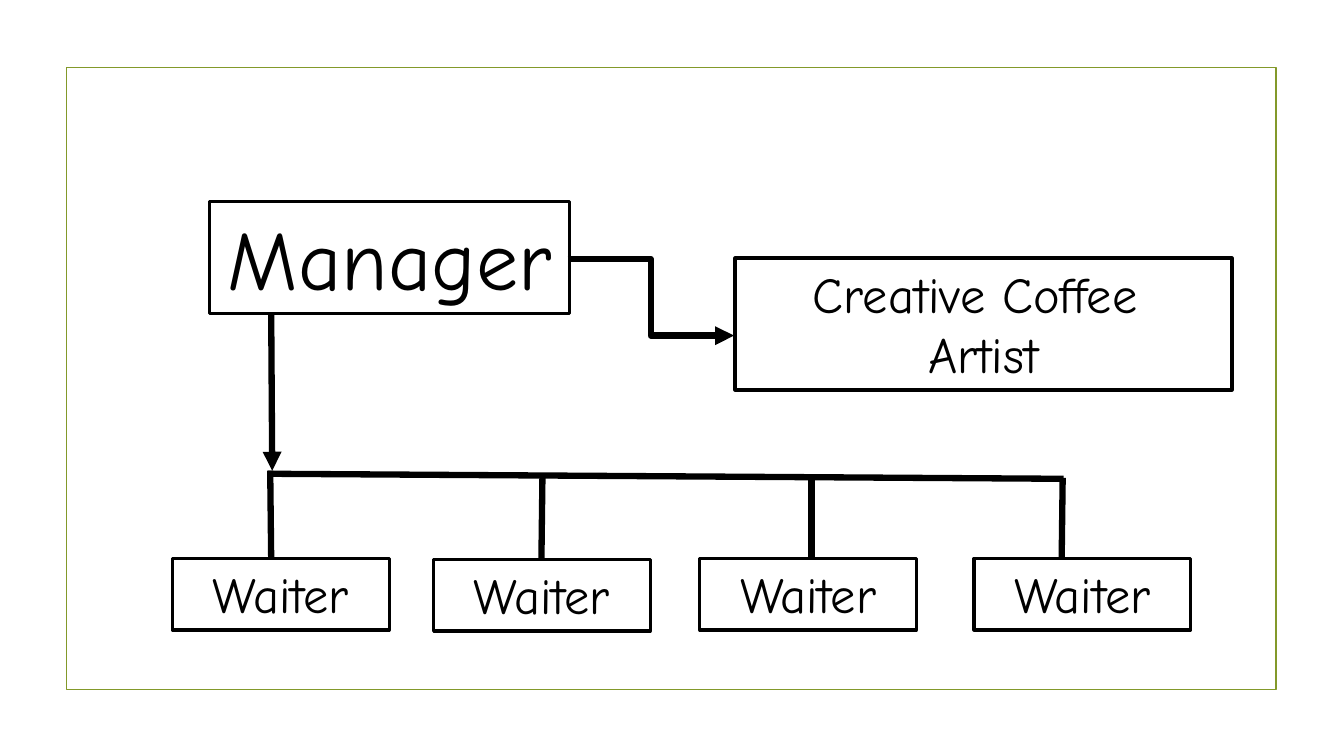
from pptx import Presentation
from pptx.dml.color import RGBColor
from pptx.enum.shapes import MSO_CONNECTOR, MSO_SHAPE
from pptx.enum.text import MSO_AUTO_SIZE, PP_ALIGN
from pptx.oxml.ns import qn
from pptx.util import Inches, Pt
from lxml.etree import SubElement

COLORS = {"ink": "000000", "frame": "83992A"}
FONT = "Comic Neue"


def add_box(x, y, wide, high, size, lines):
    """Add an outlined text box with one centred paragraph per line."""
    box = slide.shapes.add_textbox(Inches(x), Inches(y), Inches(wide), Inches(high))
    box.line.color.rgb = RGBColor.from_string(COLORS["ink"])
    box.line.width = Pt(2.25)
    text = box.text_frame
    text.word_wrap = True
    text.auto_size = MSO_AUTO_SIZE.SHAPE_TO_FIT_TEXT
    for i, line in enumerate(lines):
        para = text.add_paragraph() if i else text.paragraphs[0]
        para.alignment = PP_ALIGN.CENTER
        run = para.add_run()
        run.text = line
        run.font.name = FONT
        run.font.size = Pt(size)
        run.font.color.rgb = RGBColor.from_string(COLORS["ink"])


def add_link(x1, y1, x2, y2, kind=MSO_CONNECTOR.STRAIGHT, arrow=False):
    link = slide.shapes.add_connector(kind, Inches(x1), Inches(y1), Inches(x2), Inches(y2))
    link.line.color.rgb = RGBColor.from_string(COLORS["ink"])
    link.line.width = Pt(4.5)
    if arrow:
        SubElement(link.line._get_or_add_ln(), qn("a:tailEnd"), type="triangle")
    SubElement(link._element.spPr, qn("a:effectLst"))


deck = Presentation()
deck.slide_width = Inches(13.33)
deck.slide_height = Inches(7.5)
slide = deck.slides.add_slide(deck.slide_layouts[6])

frame = slide.shapes.add_shape(
    MSO_SHAPE.RECTANGLE, Inches(0.66), Inches(0.67), Inches(12), Inches(6.17))
frame.shadow.inherit = False
frame.fill.background()
frame.line.color.rgb = RGBColor.from_string(COLORS["frame"])
frame.line.width = Pt(1.25)

# People
add_box(2.08, 2, 3.57, 1.11, 60, ["Manager"])
for x, y in [(1.71, 5.54), (4.3, 5.55), (6.94, 5.54), (9.66, 5.54)]:
    add_box(x, y, 2.15, 0.71, 36, ["Waiter"])
add_box(7.29, 2.56, 4.93, 1.31, 36, ["Creative Coffee ", "Artist"])

# Lines of command
add_link(2.69, 3.12, 2.7, 4.67, arrow=True)
add_link(2.66, 4.7, 10.55, 4.75)
for x1, y1, x2, y2 in [
    (2.68, 4.67, 2.69, 5.55),
    (5.38, 4.73, 5.37, 5.56),
    (8.05, 4.74, 8.05, 5.53),
    (10.54, 4.74, 10.53, 5.53),
]:
    add_link(x1, y1, x2, y2)
add_link(5.63, 2.57, 7.28, 3.33, MSO_CONNECTOR.ELBOW, arrow=True)

deck.save("out.pptx")
